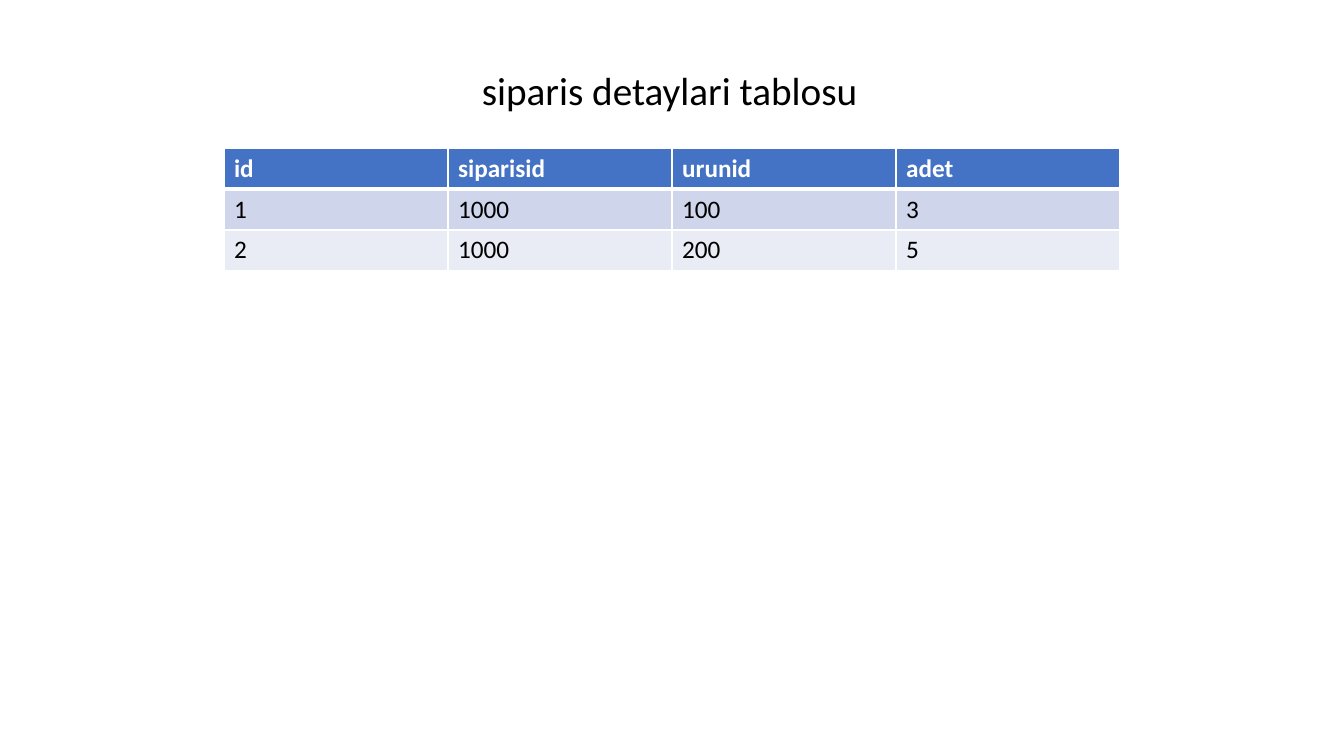
import dataclasses
import typing

import lxml.etree
import pptx
import pptx.dml.color
import pptx.enum.text
import pptx.oxml.ns
import pptx.util

WIDE = pptx.util.Inches(13.33)
HIGH = pptx.util.Inches(7.5)
COL = WIDE // 6
ROW = round(HIGH * 0.0541)
HUES = {"head": "4472C4", "odd": "CFD5EA", "even": "E9EBF5",
        "white": "FFFFFF", "black": "000000"}


@dataclasses.dataclass
class Line:
    texts: tuple[str, ...]
    fill: str
    ink: str = "black"
    bold: bool = False
    base: int = 1


LINES = [
    Line(("id", "siparisid", "urunid", "adet"), "head", "white", True, 3),
    Line(("1", "1000", "100", "3"), "odd"),
    Line(("2", "1000", "200", "5"), "even"),
]


def apply(item: typing.Any, form: dict[str, typing.Any]) -> None:
    for name, value in form.items():
        setattr(item, name, value)


def tint(name: str) -> pptx.dml.color.RGBColor:
    return pptx.dml.color.RGBColor.from_string(HUES[name])


def style(font: typing.Any, size: int, ink: str, bold: bool = False) -> None:
    apply(font, {"name": "Calibri", "size": pptx.util.Pt(size), "bold": bold})
    font.color.rgb = tint(ink)


def edge(cell: typing.Any, side: str, width: int) -> None:
    qn = pptx.oxml.ns.qn
    props = cell._tc.get_or_add_tcPr()
    line = lxml.etree.SubElement(props, qn(f"a:ln{side}"), w=str(pptx.util.Pt(width)))
    fill = lxml.etree.SubElement(line, qn("a:solidFill"))
    lxml.etree.SubElement(fill, qn("a:srgbClr"), val=HUES["white"])


def draw_cell(cell: typing.Any, text: str, line: Line, top: int) -> None:
    cell.text = text
    for side, width in {"L": 1, "R": 1, "T": top, "B": line.base}.items():
        edge(cell, side, width)
    cell.fill.solid()
    cell.fill.fore_color.rgb = tint(line.fill)
    style(cell.text_frame.paragraphs[0].runs[0].font, 18, line.ink, line.bold)


def draw_table(slide: typing.Any, lines: list[Line]) -> None:
    count = len(lines[0].texts)
    frame = slide.shapes.add_table(len(lines), count, COL, round(HIGH * 0.196),
                                   COL * count, ROW * len(lines))
    top = 1
    for row, line in zip(frame.table.rows, lines):
        row.height = ROW
        for cell, text in zip(row.cells, line.texts):
            draw_cell(cell, text, line, top)
        top = line.base


def draw_title(slide: typing.Any, text: str) -> None:
    title = slide.shapes.title
    apply(title, {"left": round(WIDE * 0.351), "top": round(HIGH * 0.081),
                  "width": round(WIDE * 0.297), "height": round(HIGH * 0.076)})
    frame = title.text_frame
    frame.text = text
    apply(frame, {"word_wrap": False,
                  "auto_size": pptx.enum.text.MSO_AUTO_SIZE.SHAPE_TO_FIT_TEXT,
                  "vertical_anchor": pptx.enum.text.MSO_ANCHOR.TOP})
    para = frame.paragraphs[0]
    para.alignment = pptx.enum.text.PP_ALIGN.LEFT
    style(para.runs[0].font, 28, "black")


deck = pptx.Presentation()
apply(deck, {"slide_width": WIDE, "slide_height": HIGH})
page = deck.slides.add_slide(deck.slide_layouts.get_by_name("Title Only"))
draw_title(page, "siparis detaylari tablosu")
draw_table(page, LINES)
deck.save("out.pptx")
